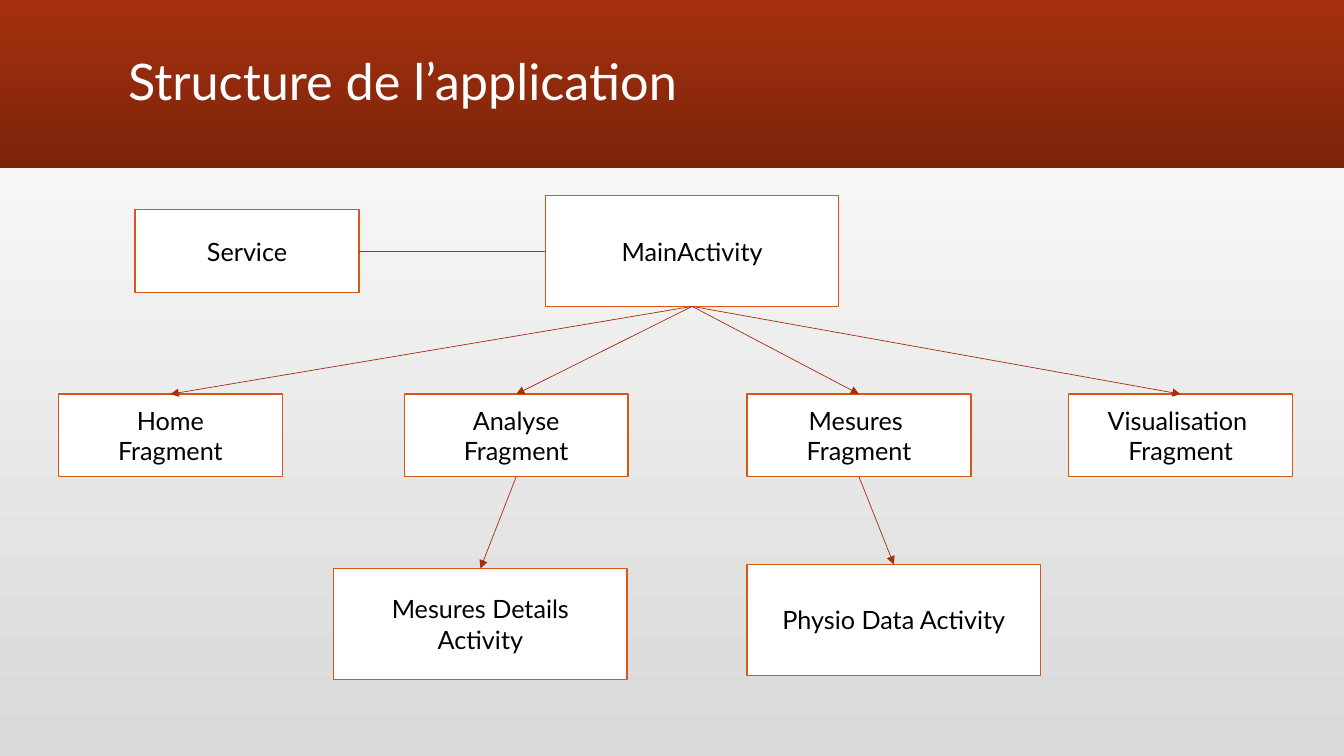
from lxml import etree
from pptx import Presentation
from pptx.dml.color import RGBColor
from pptx.enum.shapes import MSO_CONNECTOR, MSO_SHAPE
from pptx.enum.text import MSO_ANCHOR, PP_ALIGN
from pptx.oxml.ns import qn
from pptx.util import Inches, Pt

WHITE = RGBColor(0xFF, 0xFF, 0xFF)
BLACK = RGBColor(0x00, 0x00, 0x00)
GREY = RGBColor(0xD9, 0xD9, 0xD9)
RED = RGBColor(0xA5, 0x30, 0x0F)
DARK_RED = RGBColor(0x7C, 0x24, 0x0B)
ORANGE = RGBColor(0xD5, 0x58, 0x16)
TOP, LEFT, BOTTOM, RIGHT = range(4)  # connection sites of a rectangle


def set_gradient(fill, start, end, angle):
    fill.gradient()
    fill.gradient_angle = angle
    for stop, color, position in zip(fill.gradient_stops, (start, end), (0, 1)):
        stop.color.rgb = color
        stop.position = position


def write(frame, text, size, color, align):
    frame.text = text
    frame.word_wrap = True
    frame.vertical_anchor = MSO_ANCHOR.MIDDLE
    font_format = {"name": "Lato", "size": Pt(size)}
    for paragraph in frame.paragraphs:
        paragraph.alignment = align
        for run in paragraph.runs:
            for key, value in font_format.items():
                setattr(run.font, key, value)
            run.font.color.rgb = color


prs = Presentation()
prs.slide_width, prs.slide_height = Inches(13.33), Inches(7.5)
slide = prs.slides.add_slide(prs.slide_layouts[5])
set_gradient(slide.background.fill, GREY, WHITE, 90)

# Title on its band
title = slide.shapes.title
title_place = {"left": 1.17, "top": 0.11, "width": 11, "height": 1.45}
for key, value in title_place.items():
    setattr(title, key, Inches(value))
write(title.text_frame, "Structure de l’application", 36, WHITE, PP_ALIGN.LEFT)
title.text_frame.paragraphs[0].line_spacing = 0.9

band = slide.shapes.add_shape(MSO_SHAPE.RECTANGLE, 0, 0, prs.slide_width, Inches(1.67))
band.shadow.inherit = False
band.line.fill.background()
set_gradient(band.fill, RED, DARK_RED, 270)
title.element.addprevious(band.element)

# Components: activities are large, fragments and the service small
ACTIVITY = (2.91, 1.1)
SMALL = (2.22, 0.82)
FRAGMENT_TOP = 3.91
components = {
    "main": ("MainActivity", 5.41, 1.94, ACTIVITY),
    "physio": ("Physio Data Activity", 7.41, 5.6, ACTIVITY),
    "details": ("Mesures Details\nActivity", 3.31, 5.64, ACTIVITY),
    "home": ("Home\nFragment", 0.58, FRAGMENT_TOP, SMALL),
    "analyse": ("Analyse\nFragment", 4.01, FRAGMENT_TOP, SMALL),
    "mesures": ("Mesures \nFragment", 7.41, FRAGMENT_TOP, SMALL),
    "visualisation": ("Visualisation \nFragment", 10.6, FRAGMENT_TOP, SMALL),
    "service": ("Service", 1.34, 2.08, SMALL),
}
boxes = {}
for key, (label, left, top, size) in components.items():
    box = slide.shapes.add_shape(
        MSO_SHAPE.RECTANGLE, *(Inches(length) for length in (left, top, *size)))
    box.shadow.inherit = False
    box.fill.solid()
    box.fill.fore_color.rgb = WHITE
    box.line.color.rgb = ORANGE
    box.line.width = Pt(1)
    write(box.text_frame, label, 18, BLACK, PP_ALIGN.CENTER)
    boxes[key] = box

# Links: arrows run downwards, the service link is plain
links = [("main", fragment, BOTTOM, TOP)
         for fragment in ("home", "analyse", "mesures", "visualisation")]
links += [
    ("analyse", "details", BOTTOM, TOP),
    ("mesures", "physio", BOTTOM, TOP),
    ("main", "service", LEFT, RIGHT),
]
for source, target, source_site, target_site in links:
    link = slide.shapes.add_connector(MSO_CONNECTOR.STRAIGHT, 0, 0, 0, 0)
    link.begin_connect(boxes[source], source_site)
    link.end_connect(boxes[target], target_site)
    link.line.color.rgb = RED
    link.line.width = Pt(0.5)
    properties = link.element.spPr
    if target_site == TOP:
        etree.SubElement(properties.find(qn("a:ln")), qn("a:tailEnd"), type="triangle")
    etree.SubElement(properties, qn("a:effectLst"))

prs.save("out.pptx")
